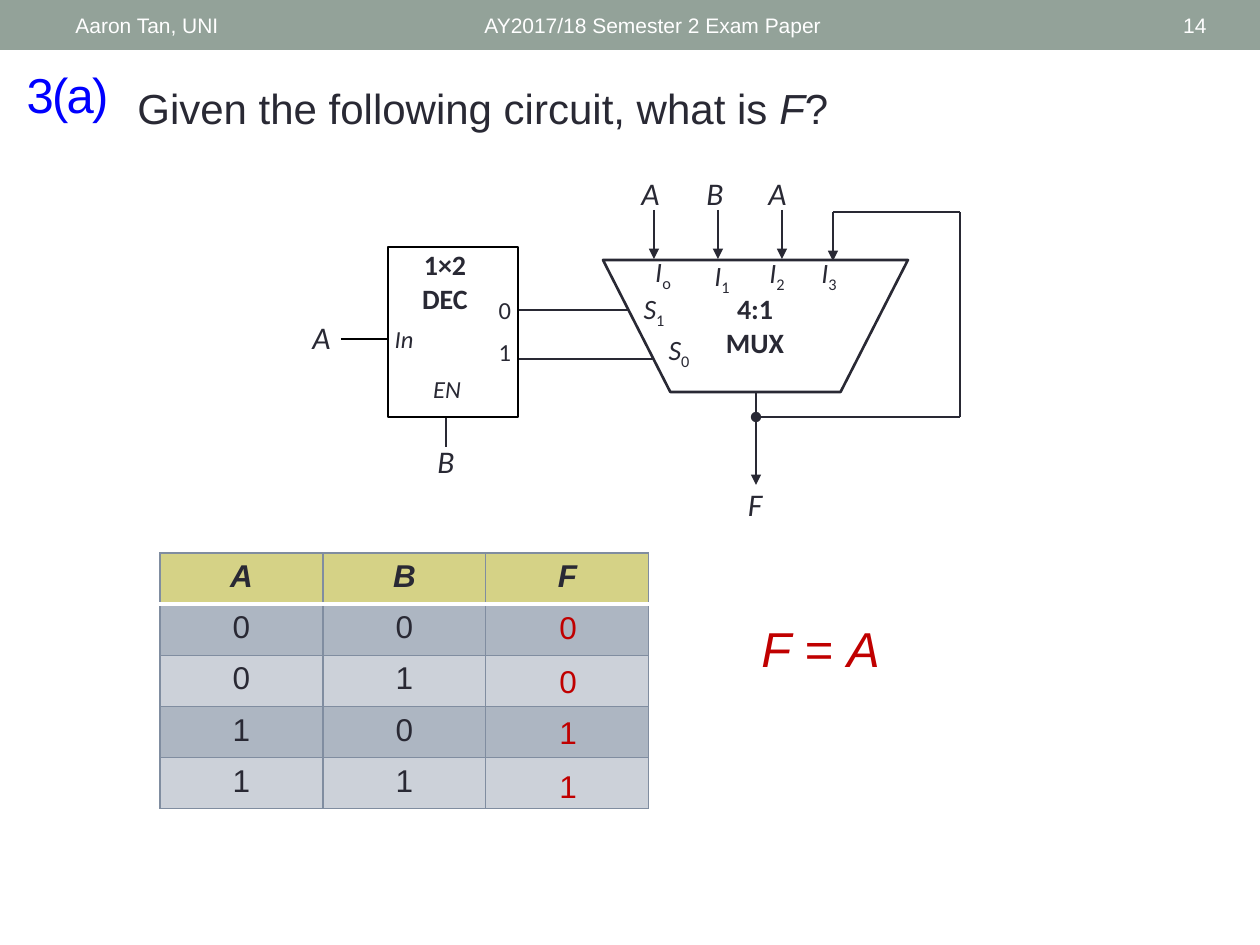
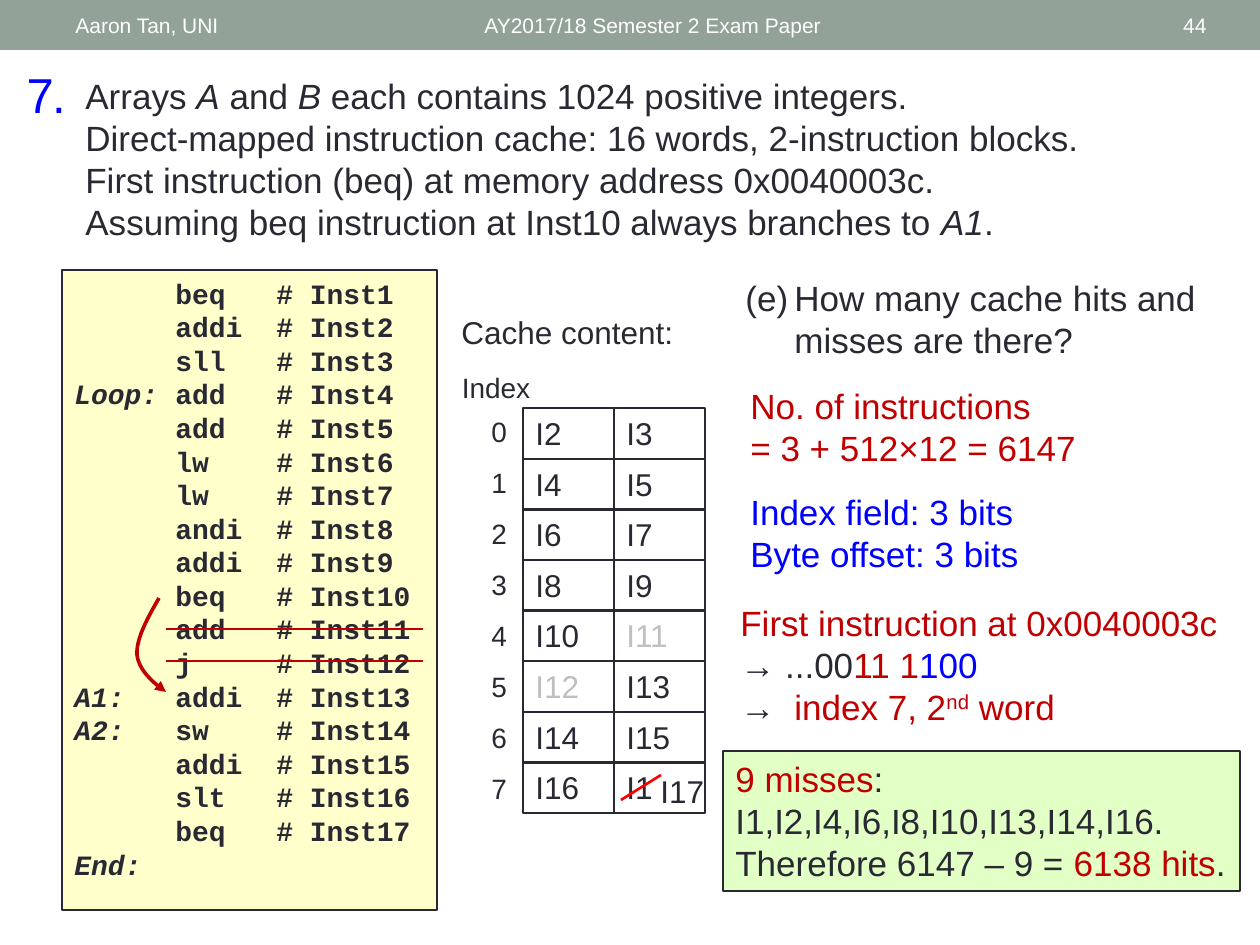
from dataclasses import dataclass, field, replace
from typing import Any, NamedTuple, Optional, Union

from lxml.etree import SubElement
from pptx import Presentation
from pptx.dml.color import RGBColor
from pptx.enum.shapes import MSO_AUTO_SHAPE_TYPE as Preset, MSO_CONNECTOR as Connector
from pptx.enum.text import MSO_ANCHOR as Anchor, MSO_AUTO_SIZE as AutoSize, PP_ALIGN as Align
from pptx.oxml.ns import qn
from pptx.util import Emu, Pt

EMU_PER_PIXEL = 914400 / 126
INK, RED, BLUE, WHITE, BLACK = "292934", "C00000", "0000FF", "FFFFFF", "000000"
BAND, MUTED, STRIKE = "93A299", "BFBFBF", "FF0000"
CODE_FILL, ANSWER_FILL = "FFFFCC", "E2FFC5"
GRID, HEADER_FILL, ROW_FILLS = "808DA0", "D5D286", ("ADB6C2", "CCD1D9")


class Box(NamedTuple):
    left: int
    top: int
    width: int
    height: int


@dataclass(frozen=True)
class Run:
    text: str
    italic: Optional[bool] = None
    color: Optional[str] = None
    baseline: int = 0


@dataclass(frozen=True)
class Style:
    size: int
    color: str = INK
    font: str = "Arial"
    bold: bool = False
    italic: bool = False
    tracking: int = 0
    hanging: int = 0
    tabs: tuple[int, ...] = ()
    paragraph: dict[str, Any] = field(default_factory=dict)
    frame: dict[str, Any] = field(default_factory=dict)


@dataclass(frozen=True)
class Wire:
    start: tuple[int, int]
    end: tuple[int, int]
    color: str = INK
    width: float = 0.75
    head: str = ""
    tail: str = ""


Line = Union[str, list[Run]]


def px(pixels: float) -> Emu:
    return Emu(round(pixels * EMU_PER_PIXEL))


def rgb(color: str) -> RGBColor:
    return RGBColor.from_string(color)


def set_all(target: Any, values: dict[str, Any]) -> None:
    for name, value in values.items():
        setattr(target, name, value)


def place(shape: Any, box: Box) -> None:
    set_all(shape, {name: px(value) for name, value in box._asdict().items()})


def write(text_frame: Any, lines: list[Line], style: Style) -> None:
    for number, line in enumerate(lines):
        paragraph = text_frame.add_paragraph() if number else text_frame.paragraphs[0]
        set_all(paragraph, {"alignment": Align.LEFT, **style.paragraph})
        properties = paragraph._p.get_or_add_pPr()
        if style.hanging:
            properties.set("marL", str(px(style.hanging)))
            properties.set("indent", str(-px(style.hanging)))
        if style.tabs:
            tab_list = SubElement(properties, qn("a:tabLst"))
            for tab in style.tabs:
                SubElement(tab_list, qn("a:tab"), pos=str(px(tab)), algn="l")
        for part in [Run(line)] if isinstance(line, str) else line:
            run = paragraph.add_run()
            run.text = part.text
            italic = style.italic if part.italic is None else part.italic
            set_all(run.font, {"name": style.font, "size": Pt(style.size),
                               "bold": style.bold, "italic": italic})
            run.font.color.rgb = rgb(part.color or style.color)
            for name, value in (("spc", style.tracking), ("baseline", part.baseline * 1000)):
                if value:
                    run._r.get_or_add_rPr().set(name, str(value))


def fill_frame(shape: Any, lines: list[Line], style: Style) -> None:
    set_all(shape.text_frame, {"word_wrap": True, "auto_size": AutoSize.NONE,
                               "vertical_anchor": Anchor.TOP, **style.frame})
    write(shape.text_frame, lines, style)


def add_text(shapes: Any, box: Box, lines: list[Line], style: Style) -> None:
    fill_frame(shapes.add_textbox(*map(px, box)), lines, style)


def add_block(shapes: Any, box: Box, fill: str = "", line: str = "", width: float = 0.75,
              preset: Preset = Preset.RECTANGLE) -> Any:
    shape = shapes.add_shape(preset, *map(px, box))
    shape.shadow.inherit = False
    if fill:
        shape.fill.solid()
        shape.fill.fore_color.rgb = rgb(fill)
    else:
        shape.fill.background()
    if line:
        shape.line.color.rgb = rgb(line)
        shape.line.width = Pt(width)
    else:
        shape.line.fill.background()
    return shape


def add_ends(shape: Any, head: str, tail: str) -> None:
    outline = shape.element.spPr.get_or_add_ln()
    for tag, kind in (("a:headEnd", head), ("a:tailEnd", tail)):
        if kind:
            SubElement(outline, qn(tag), type=kind)


def add_wire(shapes: Any, wire: Wire) -> None:
    connector = shapes.add_connector(Connector.STRAIGHT, *map(px, wire.start + wire.end))
    connector.line.color.rgb = rgb(wire.color)
    connector.line.width = Pt(wire.width)
    add_ends(connector, wire.head, wire.tail)
    SubElement(connector.element.spPr, qn("a:effectLst"))


def add_curve(shapes: Any, segments: list[list[tuple[int, int]]], color: str, width: float) -> None:
    steps = 12
    points = []
    for segment in segments:
        for step in range(steps + 1):
            t = step / steps
            weights = ((1 - t) ** 3, 3 * t * (1 - t) ** 2, 3 * t * t * (1 - t), t ** 3)
            points.append(tuple(px(sum(w * point[axis] for w, point in zip(weights, segment)))
                                for axis in (0, 1)))
    builder = shapes.build_freeform(*points[0])
    builder.add_line_segments(points[1:], close=False)
    curve = builder.convert_to_shape()
    curve.shadow.inherit = False
    curve.fill.background()
    curve.line.color.rgb = rgb(color)
    curve.line.width = Pt(width)
    add_ends(curve, "", "triangle")


CENTER = {"alignment": Align.CENTER}
RIGHT = {"alignment": Align.RIGHT}
MIDDLE = {"vertical_anchor": Anchor.MIDDLE}
TIGHT = {f"margin_{side}": px(1) for side in ("left", "top", "right", "bottom")}
TITLE = Style(28, BLUE, tracking=-100, frame=MIDDLE)
FOOTER = Style(12, WHITE, frame=MIDDLE)
BODY = Style(20)
SIGNAL = Style(18, font="Calibri", italic=True, paragraph=CENTER)
INPUT = replace(SIGNAL, paragraph=RIGHT)
PIN = replace(SIGNAL, size=16)
PORT = replace(SIGNAL, size=14)
CHIP = Style(16, font="Calibri", bold=True, paragraph=CENTER, frame=TIGHT)
DIGIT = Style(14, font="Calibri", frame=TIGHT,
              paragraph={**RIGHT, "line_spacing": Pt(12), "space_after": Pt(12)})
CELL = Style(18, paragraph=CENTER)
ANSWER = replace(CELL, color=RED)
CODE = Style(16, font="Courier New", bold=True, tabs=(101, 202))


def add_framed_slide(presentation: Any, title: str, number: int) -> Any:
    slide = presentation.slides.add_slide(presentation.slide_layouts[5])
    place(slide.shapes.title, Box(14, 47, 120, 94))
    fill_frame(slide.shapes.title, [title], TITLE)
    add_block(slide.shapes, Box(0, 0, 1260, 50), BAND)
    add_text(slide.shapes, Box(472, 3, 567, 45), ["AY2017/18 Semester 2 Exam Paper"], FOOTER)
    add_text(slide.shapes, Box(63, 3, 399, 45), ["Aaron Tan, UNI"], FOOTER)
    add_text(slide.shapes, Box(1099, 3, 120, 45), [str(number)], replace(FOOTER, paragraph=RIGHT))
    return slide


def add_circuit(shapes: Any) -> None:
    for wire in (Wire((509, 310), (629, 310)), Wire((509, 359), (654, 359)),
                 Wire((446, 408), (446, 447)), Wire((341, 339), (388, 339), BLACK)):
        add_wire(shapes, wire)
    add_block(shapes, Box(388, 247, 130, 170), WHITE, BLACK, 1.5)
    add_text(shapes, Box(470, 302, 42, 97), ["0", "1"], DIGIT)
    add_text(shapes, Box(404, 247, 82, 84), ["1×2", "DEC"], CHIP)
    add_text(shapes, Box(377, 326, 54, 53), ["In"],
             replace(PORT, frame=TIGHT, paragraph={**CENTER, "line_spacing": Pt(15)}))
    add_text(shapes, Box(413, 368, 68, 49), ["EN"], PORT)

    multiplexer = add_block(shapes, Box(603, 260, 305, 132), "", INK, 1.5, Preset.TRAPEZOID)
    multiplexer.adjustments[0] = 0.51
    multiplexer.element.spPr.find(qn("a:xfrm")).set("flipV", "1")
    add_text(shapes, Box(714, 291, 82, 84), ["4:1", "MUX"], CHIP)
    for name, index, left, top in (("S", "1", 620, 285), ("S", "0", 645, 326), ("I", "o", 629, 248),
                                   ("I", "1", 688, 252), ("I", "2", 743, 249), ("I", "3", 795, 249)):
        add_text(shapes, Box(left, top, 68, 47),
                 [[Run(name), Run(index, italic=False, baseline=-25)]], PIN)

    for name, left, top in (("A", 300, 312), ("A", 629, 168), ("B", 693, 168), ("A", 756, 168)):
        add_text(shapes, Box(left, top, 43, 50), [name], INPUT)
    for name, left, top in (("B", 412, 436), ("F", 721, 479)):
        add_text(shapes, Box(left, top, 68, 50), [name], SIGNAL)
    for x in (654, 718, 782):
        add_wire(shapes, Wire((x, 210), (x, 259), tail="triangle"))
    for wire in (Wire((756, 393), (756, 485), tail="triangle"),
                 Wire((833, 212), (833, 261), tail="triangle"),
                 Wire((756, 417), (960, 417), head="oval"),
                 Wire((833, 212), (960, 212)), Wire((960, 417), (960, 212))):
        add_wire(shapes, wire)


def add_truth_table(shapes: Any) -> None:
    rows = ["ABF", "00", "01", "10", "11"]
    table = shapes.add_table(5, 3, *map(px, Box(160, 553, 489, 255))).table
    for column in table.columns:
        column.width = px(163)
    for r, values in enumerate(rows):
        table.rows[r].height = px(51)
        for c in range(3):
            cell = table.cell(r, c)
            properties = cell._tc.get_or_add_tcPr()
            for side in "LRTB":
                divider = (side, r) in (("B", 0), ("T", 1))
                border = SubElement(properties, qn(f"a:ln{side}"),
                                    w=str(Pt(2.08 if divider else 0.75)))
                paint = SubElement(border, qn("a:solidFill"))
                SubElement(paint, qn("a:srgbClr"), val=WHITE if divider else GRID)
            cell.fill.solid()
            cell.fill.fore_color.rgb = rgb(ROW_FILLS[(r - 1) % 2] if r else HEADER_FILL)
            if c < len(values):
                write(cell.text_frame, [values[c]], replace(CELL, bold=r == 0, italic=r == 0))


def build_circuit_slide(presentation: Any) -> None:
    shapes = add_framed_slide(presentation, "3(a)", 14).shapes
    add_text(shapes, Box(125, 76, 1056, 63),
             [[Run("Given the following circuit, what is "), Run("F", True), Run("?")]], Style(24))
    add_circuit(shapes.add_group_shape().shapes)
    add_truth_table(shapes)
    for value, top in zip("0011", (602, 656, 707, 761)):
        add_text(shapes, Box(534, top, 68, 50), [value], ANSWER)
    add_text(shapes, Box(743, 612, 155, 72),
             [[Run("F", True), Run(" = "), Run("A", True)]], replace(ANSWER, size=28))


def add_code(shapes: Any) -> None:
    operations = ("beq addi sll add add lw lw andi addi beq add j "
                  "addi sw addi slt beq").split()
    labels = {4: "Loop:", 13: "A1:", 14: "A2:"}
    lines: list[Line] = [[Run(labels.get(n, ""), True), Run(f"\t{operation}\t# Inst{n}")]
                         for n, operation in enumerate(operations, 1)]
    lines.append([Run("End:", True)])
    fill_frame(add_block(shapes, Box(62, 270, 375, 640), CODE_FILL, INK), lines, CODE)
    add_curve(shapes, [[(159, 598), (147, 619), (136, 639), (137, 655)],
                       [(137, 655), (139, 670), (152, 682), (166, 692)]], RED, 2.08)
    for y in (629, 661):
        add_wire(shapes, Wire((166, y), (423, y), RED, 1.5))


def add_cache(shapes: Any) -> None:
    add_text(shapes, Box(449, 307, 255, 50), ["Cache content:"], Style(18))
    add_text(shapes, Box(437, 364, 118, 47), ["Index"], Style(16, paragraph=CENTER))
    add_text(shapes, Box(479, 408, 53, 408), list("01234567"),
             Style(16, paragraph={"space_after": Pt(10)}))
    for position, instruction in enumerate([*range(2, 17), 1]):
        row, column = divmod(position, 2)
        box = Box(523 + 91 * column, round(408 + 50.6 * row), 91, 51)
        color = MUTED if instruction in (11, 12) else INK
        fill_frame(add_block(shapes, box, "", INK, 1.5), [f"I{instruction}"], Style(18, color))
    add_wire(shapes, Wire((661, 775), (621, 800), STRIKE, 1.5))
    add_text(shapes, Box(648, 766, 71, 50), ["I17"], Style(18))


def build_cache_slide(presentation: Any) -> None:
    shapes = add_framed_slide(presentation, "7.", 44).shapes
    add_text(shapes, Box(73, 68, 1160, 183), [
        [Run("Arrays "), Run("A", True), Run(" and "), Run("B", True),
         Run(" each contains 1024 positive integers.")],
        "Direct-mapped instruction cache: 16 words, 2-instruction blocks.",
        "First instruction (beq) at memory address 0x0040003c.",
        [Run("Assuming beq instruction at Inst10 always branches to "), Run("A1", True), Run(".")],
    ], BODY)
    add_code(shapes)
    add_text(shapes, Box(733, 270, 500, 97),
             ["(e)\tHow many cache hits and misses are there?"], replace(BODY, hanging=49))
    add_text(shapes, Box(738, 378, 415, 97),
             ["No. of instructions", "= 3 + 512×12 = 6147"], replace(BODY, color=RED))
    add_text(shapes, Box(738, 484, 415, 97),
             ["Index field: 3 bits", "Byte offset: 3 bits"], replace(BODY, color=BLUE))
    add_text(shapes, Box(728, 595, 505, 140), [
        "First instruction at 0x0040003c",
        [Run("→ ...00", color=INK), Run("11 1"), Run("100", color=BLUE)],
        [Run("→\t", color=INK), Run("index 7, 2"), Run("nd", baseline=30), Run(" word")],
    ], replace(BODY, color=RED, tabs=(54,)))
    add_cache(shapes.add_group_shape().shapes)
    fill_frame(add_block(shapes, Box(723, 751, 517, 140), ANSWER_FILL, INK), [
        [Run("9 misses", color=RED), Run(": I1,I2,I4,I6,I8,I10,I13,I14,I16.")],
        [Run("Therefore 6147 – 9 = "), Run("6138 hits", color=RED), Run(".")],
    ], BODY)


presentation = Presentation()
set_all(presentation, {"slide_width": px(1260), "slide_height": px(945)})
build_circuit_slide(presentation)
build_cache_slide(presentation)
presentation.save("out.pptx")
